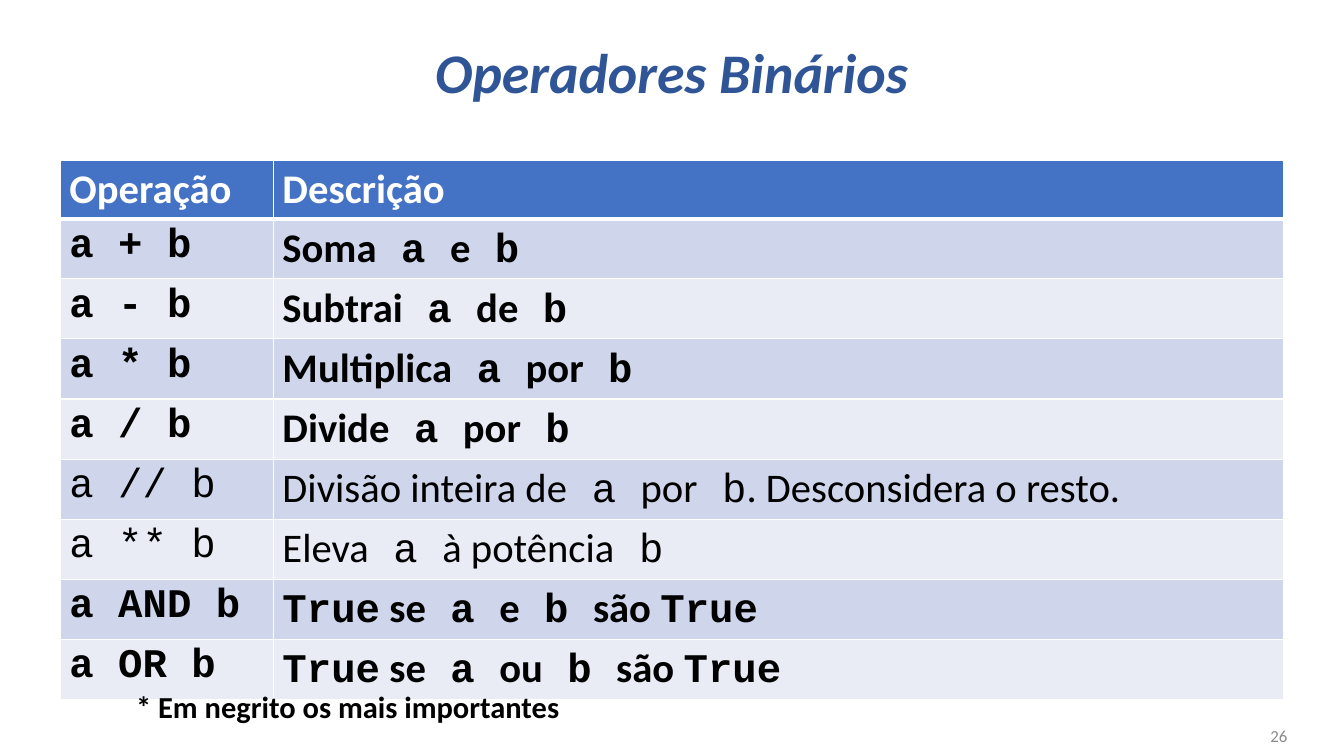
import pptx
import pptx.dml.color
import pptx.enum.text
import pptx.oxml
import pptx.oxml.ns
import pptx.util
from pptx.util import Inches, Pt

TITLE = "Operadores Binários"
HEADER = ("Operação", "Descrição")
OPERATORS = [
    ("a + b", "Soma` a `e` b", True),
    ("a - b", "Subtrai` a `de` b", True),
    ("a * b", "Multiplica` a `por` b", True),
    ("a / b", "Divide` a `por` b", True),
    ("a // b", "Divisão inteira de` a `por` b`. Desconsidera o resto.", False),
    ("a ** b", "Eleva` a `à potência` b", False),
    ("a AND b", "`True` se` a `e` b `são `True", True),
    ("a OR b", "`True` se` a `ou` b `são `True", True),
]
NOTE = "* Em negrito os mais importantes"
PAGE = "26"

BODY_FONT, CODE_FONT = "Calibri", "Courier New"
HEADER_FILL, BANDS = "4472C4", ("E9EBF5", "CFD5EA")
COLUMNS = (2.33, 11.05)
ROW_HEIGHT = 0.41


def color(value):
    return pptx.dml.color.RGBColor.from_string(value)


def format_font(font, size, ink, bold=False, italic=False, name=BODY_FONT):
    font.name, font.size = name, Pt(size)
    font.bold, font.italic = bold, italic
    font.color.rgb = color(ink)


def set_borders(cell, top, bottom):
    tcPr = cell._tc.get_or_add_tcPr()
    widths = {"lnL": 1, "lnR": 1, "lnT": top, "lnB": bottom}
    for i, (side, width) in enumerate(widths.items()):
        tcPr.insert(i, pptx.oxml.parse_xml(
            f'<a:{side} {pptx.oxml.ns.nsdecls("a")} w="{Pt(width)}"><a:solidFill>'
            f'<a:srgbClr val="FFFFFF"/></a:solidFill></a:{side}>'))


def fill_cell(cell, text, fill, ink, bold, borders):
    cell.fill.solid()
    cell.fill.fore_color.rgb = color(fill)
    set_borders(cell, *borders)
    p = cell.text_frame.paragraphs[0]
    for i, part in enumerate(text.split("`")):
        if part:
            r = p.add_run()
            r.text = part
            format_font(r.font, 32, ink, bold, name=CODE_FONT if i % 2 else BODY_FONT)


def add_text(s, box, text, size, ink, bold, wrap):
    tf = s.shapes.add_textbox(*map(Inches, box)).text_frame
    tf.word_wrap = wrap
    p = tf.paragraphs[0]
    p.text = text
    format_font(p.font, size, ink, bold)
    return tf


def add_title(s):
    title = s.shapes.title
    title.left, title.top, title.width, title.height = map(Inches, (1.01, 0.02, 12.68, 1.6))
    tf = title.text_frame
    tf.vertical_anchor = pptx.enum.text.MSO_ANCHOR.MIDDLE
    p = tf.paragraphs[0]
    p.text = TITLE
    p.alignment = pptx.enum.text.PP_ALIGN.CENTER
    p.line_spacing = 0.9
    format_font(p.font, 44, "2F5597", True, True)


def add_operator_table(s):
    count = len(OPERATORS) + 1
    table = s.shapes.add_table(
        count, len(COLUMNS), Inches(0.66), Inches(1.75),
        Inches(sum(COLUMNS)), Inches(count * ROW_HEIGHT)).table
    for column, width in zip(table.columns, COLUMNS):
        column.width = Inches(width)
    for i, text in enumerate(HEADER):
        fill_cell(table.cell(0, i), text, HEADER_FILL, "FFFFFF", True, (1, 3))
    for row, (operation, description, bold) in enumerate(OPERATORS, 1):
        borders = (3 if row == 1 else 1, 1)
        for i, text in enumerate(("`" + operation, description)):
            fill_cell(table.cell(row, i), text, BANDS[row % 2], "000000", bold, borders)


def main():
    prs = pptx.Presentation()
    prs.slide_width, prs.slide_height = Inches(14.7), Inches(8.27)
    s = prs.slides.add_slide(prs.slide_layouts[5])
    add_title(s)
    add_operator_table(s)
    add_text(s, (1.39, 7.48, 4.88, 0.5), NOTE, 24, "000000", True, False)
    tf = add_text(s, (10.87, 7.83, 3.31, 0.44), PAGE, 13.3, "8B8B8B", False, True)
    tf.vertical_anchor = pptx.enum.text.MSO_ANCHOR.MIDDLE
    tf.paragraphs[0].alignment = pptx.enum.text.PP_ALIGN.RIGHT
    prs.save("out.pptx")


if __name__ == "__main__":
    main()
